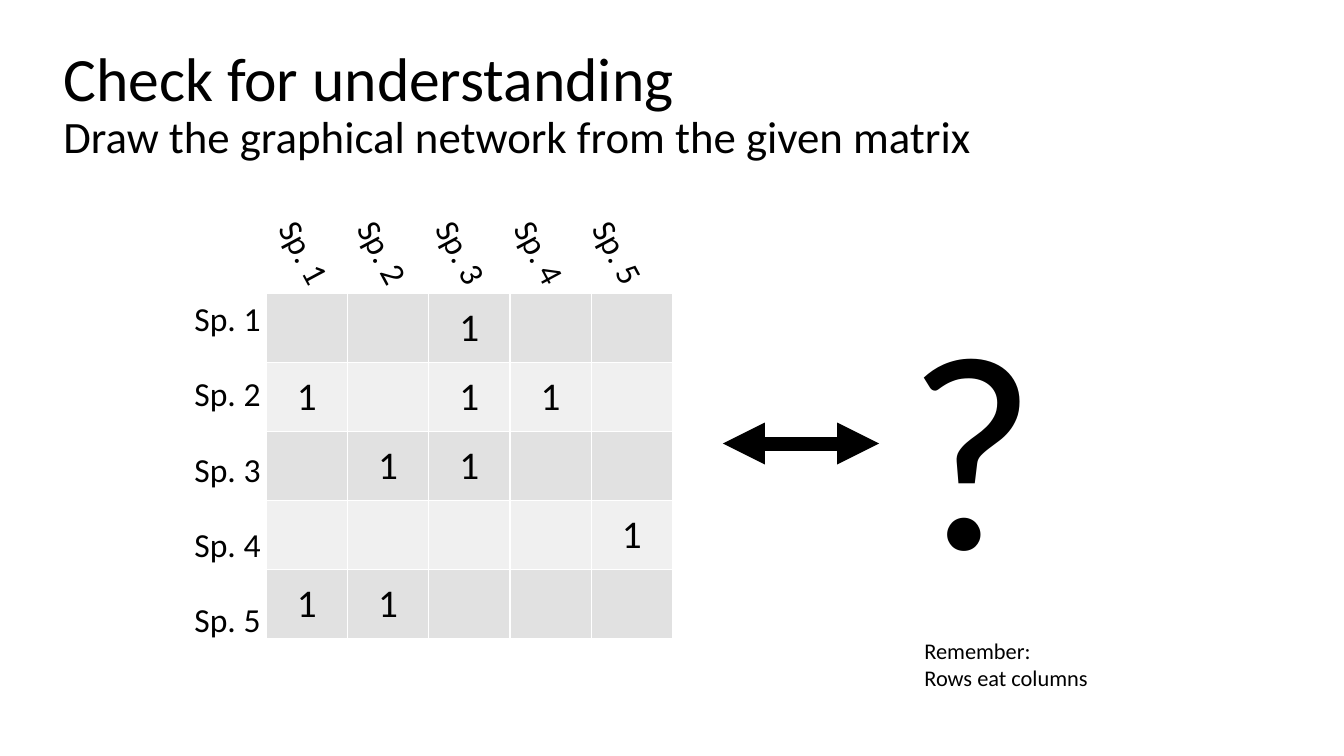
from lxml import etree
from pptx import Presentation
from pptx.dml.color import RGBColor
from pptx.enum.shapes import MSO_CONNECTOR
from pptx.enum.text import MSO_ANCHOR, PP_ALIGN
from pptx.oxml.ns import qn
from pptx.util import Emu, Pt

LINE = MSO_CONNECTOR.STRAIGHT
MIDDLE = MSO_ANCHOR.MIDDLE
CENTER = PP_ALIGN.CENTER
SCALE = 9144
FONT = "Calibri"
COLORS = {"ink": "000000", "dark": "E1E1E1", "light": "F0F0F0", "edge": "FFFFFF"}
LABELS = [f"Sp. {n}" for n in range(1, 6)]
MATRIX = ["00100", "10110", "01100", "00001", "11000"]


def px(n):
    return Emu(round(n * SCALE))


def color(name):
    return RGBColor.from_string(COLORS[name])


def style(para, size):
    for run in para.runs:
        run.font.name = FONT
        run.font.size = Pt(size)
        run.font.color.rgb = color("ink")


def add_text(slide, box, lines, sizes, turn=0, space=None):
    shape = slide.shapes.add_textbox(*map(px, box))
    shape.rotation = turn
    frame = shape.text_frame
    frame.word_wrap = True
    frame.text = "\n".join(lines)
    for para, size in zip(frame.paragraphs, sizes):
        para.line_spacing = space
        style(para, size)


def add_edges(cell):
    props = cell._tc.get_or_add_tcPr()
    for i, side in enumerate(("lnL", "lnR", "lnT", "lnB")):
        line = etree.Element(qn(f"a:{side}"), w=str(Pt(1)))
        fill = etree.SubElement(line, qn("a:solidFill"))
        etree.SubElement(fill, qn("a:srgbClr"), val=COLORS["edge"])
        props.insert(i, line)


def add_matrix(slide, box, rows):
    count = len(rows)
    table = slide.shapes.add_table(count, count, *map(px, box)).table
    table.first_row = False
    table.horz_banding = False
    for r, row in enumerate(rows):
        for c, mark in enumerate(row):
            cell = table.cell(r, c)
            cell.fill.solid()
            cell.fill.fore_color.rgb = color("light" if r % 2 else "dark")
            add_edges(cell)
            if mark == "1":
                cell.vertical_anchor = MIDDLE
                cell.text_frame.text = mark
                para = cell.text_frame.paragraphs[0]
                para.alignment = CENTER
                style(para, 28)


def add_arrow(slide, start, end, width):
    arrow = slide.shapes.add_connector(LINE, *map(px, start + end))
    arrow.line.color.rgb = color("ink")
    arrow.line.width = Pt(width)
    line = arrow.line._get_or_add_ln()
    for tip in ("headEnd", "tailEnd"):
        etree.SubElement(line, qn(f"a:{tip}"), type="triangle")
    etree.SubElement(arrow._element.spPr, qn("a:effectLst"))


def main():
    deck = Presentation()
    deck.slide_width, deck.slide_height = px(1333), px(750)
    slide = deck.slides.add_slide(deck.slide_layouts[6])

    title = ["Check for understanding", "Draw the graphical network from the given matrix"]
    add_text(slide, (53, 43, 1150, 145), title, (44, 32), space=0.9)
    add_text(slide, (907, 627, 426, 64), ["Remember:", "Rows eat columns"], (16, 16))

    add_matrix(slide, (264, 291, 403, 343), MATRIX)
    for i, label in enumerate(LABELS):
        add_text(slide, (183, 291 + i * 298 / 4, 119, 50), [label], [24])
        add_text(slide, (251 + i * 311 / 4, 240, 119, 50), [label], [24], turn=61.8)

    add_arrow(slide, (717, 440), (872, 440), 10)
    add_text(slide, (890, 264, 119, 345), ["?"], [199])
    deck.save("out.pptx")


if __name__ == "__main__":
    main()
